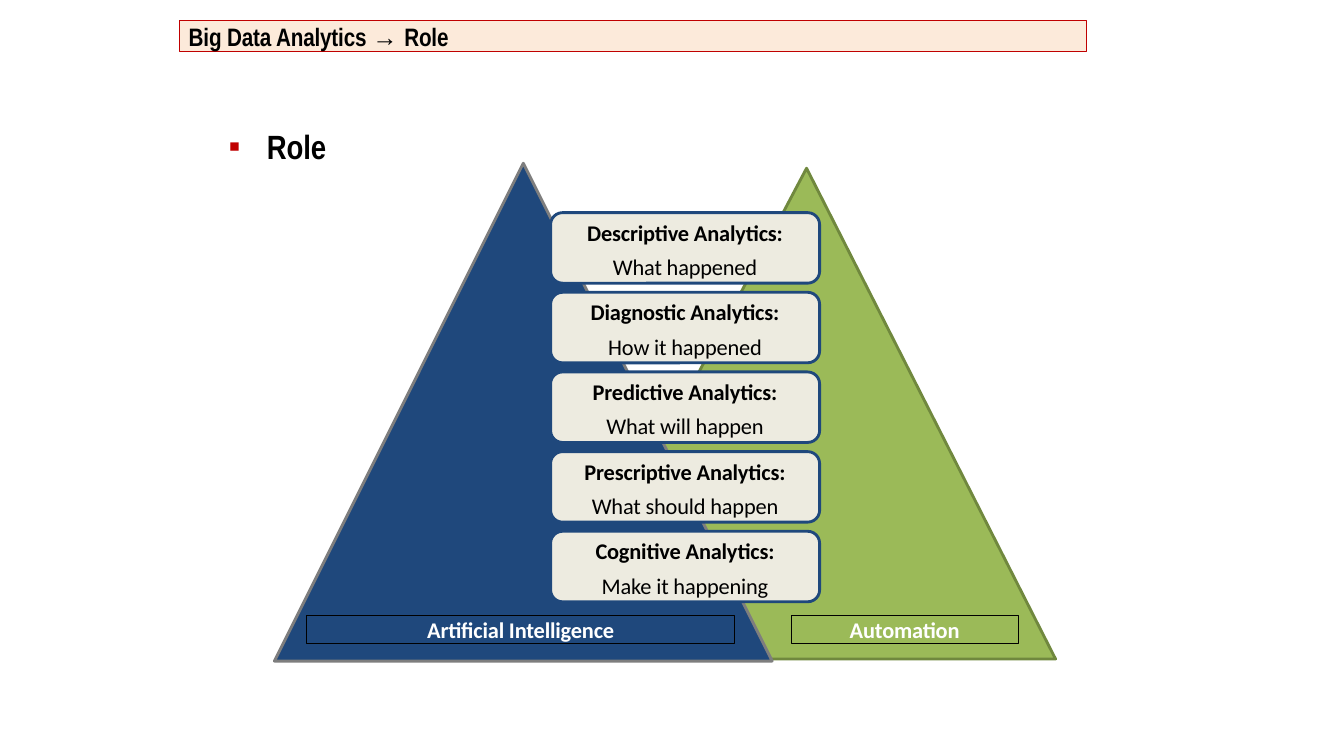
from lxml.etree import SubElement
from pptx import Presentation
from pptx.dml.color import RGBColor
from pptx.enum.shapes import MSO_SHAPE
from pptx.enum.text import MSO_ANCHOR, PP_ALIGN
from pptx.oxml.ns import qn
from pptx.util import Pt

# Content: runs are (text, font, bold)
TITLE_RUNS = [
    ("Big Data Analytics ", "Arial Narrow", True),
    ("→ ", "Arial", False),
    ("Role", "Arial Narrow", True),
]
HEADING_RUNS = [("Role", "Arial Narrow", True)]
ANALYTICS = [
    ("Descriptive Analytics:", "What happened"),
    ("Diagnostic Analytics:", "How it happened"),
    ("Predictive Analytics:", "What will happen"),
    ("Prescriptive Analytics:", "What should happen"),
    ("Cognitive Analytics:", "Make it happening"),
]

# Colours and places (left, top, width, height in points)
BLACK, WHITE, RED = "000000", "FFFFFF", "C00000"
BLUE, GREEN, GREY, OLIVE = "1F487C", "9BBA58", "7E7E7E", "70883E"
PEACH, CREAM = "FCEADA", "EDEBE0"
TITLE_BOX = (128, 15, 648, 21.6)
HEADING_BOX = (162.7, 90, 72, 28.8)
# box, fill, line, apex position as a share of the width
TRIANGLES = [
    ((391, 120.2, 363, 350.6), GREEN, OLIVE, 0.51),
    ((196, 116.6, 355.6, 355.6), BLUE, GREY, 0.5),
]
LABELS = [
    ("Automation", (565.2, 440, 162, 19.4), GREEN),
    ("Artificial Intelligence", (219, 440, 306, 19.4), BLUE),
]
CARD_LEFT, CARD_TOP, CARD_WIDTH, CARD_HEIGHT = 393.3, 151.9, 192.2, 50.4
CARD_PITCH = 56.9

presentation = Presentation()
presentation.slide_width, presentation.slide_height = Pt(960), Pt(540)
slide = presentation.slides.add_slide(presentation.slide_layouts[6])


def colour(hex_string):
    return RGBColor.from_string(hex_string)


def add_box(kind, box, fill, line, line_width):
    shape = slide.shapes.add_shape(kind, *map(Pt, box))
    shape.shadow.inherit = False
    shape.fill.solid()
    shape.fill.fore_color.rgb = colour(fill)
    shape.line.color.rgb = colour(line)
    shape.line.width = Pt(line_width)
    return shape


def prepare_frame(shape, left=0, top=0):
    frame = shape.text_frame
    frame.word_wrap = True
    frame.vertical_anchor = MSO_ANCHOR.TOP
    frame.margin_left, frame.margin_top = Pt(left), Pt(top)
    frame.margin_right = frame.margin_bottom = 0
    return frame


def fill_paragraph(paragraph, runs, size, font_colour, align=PP_ALIGN.CENTER):
    paragraph.alignment = align
    for text, font, bold in runs:
        run = paragraph.add_run()
        run.text = text
        run.font.name, run.font.size, run.font.bold = font, Pt(size), bold
        run.font.color.rgb = colour(font_colour)
        run.font._element.set("spc", "-10")


# Heading with a square bullet
heading = slide.shapes.add_textbox(*map(Pt, HEADING_BOX))
paragraph = prepare_frame(heading).paragraphs[0]
fill_paragraph(paragraph, HEADING_RUNS, 24, BLACK, PP_ALIGN.LEFT)
properties = paragraph._p.get_or_add_pPr()
properties.set("marL", str(Pt(28)))
properties.set("indent", str(Pt(-27.4)))
bullet_colour = SubElement(properties, qn("a:buClr"))
SubElement(bullet_colour, qn("a:srgbClr"), val=RED)
SubElement(properties, qn("a:buFont"), typeface="Arial")
SubElement(properties, qn("a:buChar"), char="▪")

# Title bar
title = add_box(MSO_SHAPE.RECTANGLE, TITLE_BOX, PEACH, RED, 0.72)
fill_paragraph(prepare_frame(title, left=6.8).paragraphs[0],
               TITLE_RUNS, 18, BLACK, PP_ALIGN.LEFT)

# Overlapping triangles
for box, fill, line, apex in TRIANGLES:
    triangle = add_box(MSO_SHAPE.ISOSCELES_TRIANGLE, box, fill, line, 2.04)
    triangle.adjustments[0] = apex

# Stack of analytics cards
for index, (name, question) in enumerate(ANALYTICS):
    box = (CARD_LEFT, CARD_TOP + index * CARD_PITCH, CARD_WIDTH, CARD_HEIGHT)
    card = add_box(MSO_SHAPE.ROUNDED_RECTANGLE, box, CREAM, BLUE, 2.04)
    card.adjustments[0] = 0.17
    # The rounded corner already insets the text by about 2.5 points
    frame = prepare_frame(card, top=2)
    fill_paragraph(frame.paragraphs[0], [(name, "Calibri", True)], 16, BLACK)
    answer = frame.add_paragraph()
    answer.space_before = Pt(5.2)
    fill_paragraph(answer, [(question, "Calibri", False)], 16, BLACK)

# Labels at the feet of the triangles
for text, box, fill in LABELS:
    label = add_box(MSO_SHAPE.RECTANGLE, box, fill, BLACK, 0.72)
    fill_paragraph(prepare_frame(label).paragraphs[0],
                   [(text, "Calibri", True)], 16, WHITE)

presentation.save("out.pptx")
